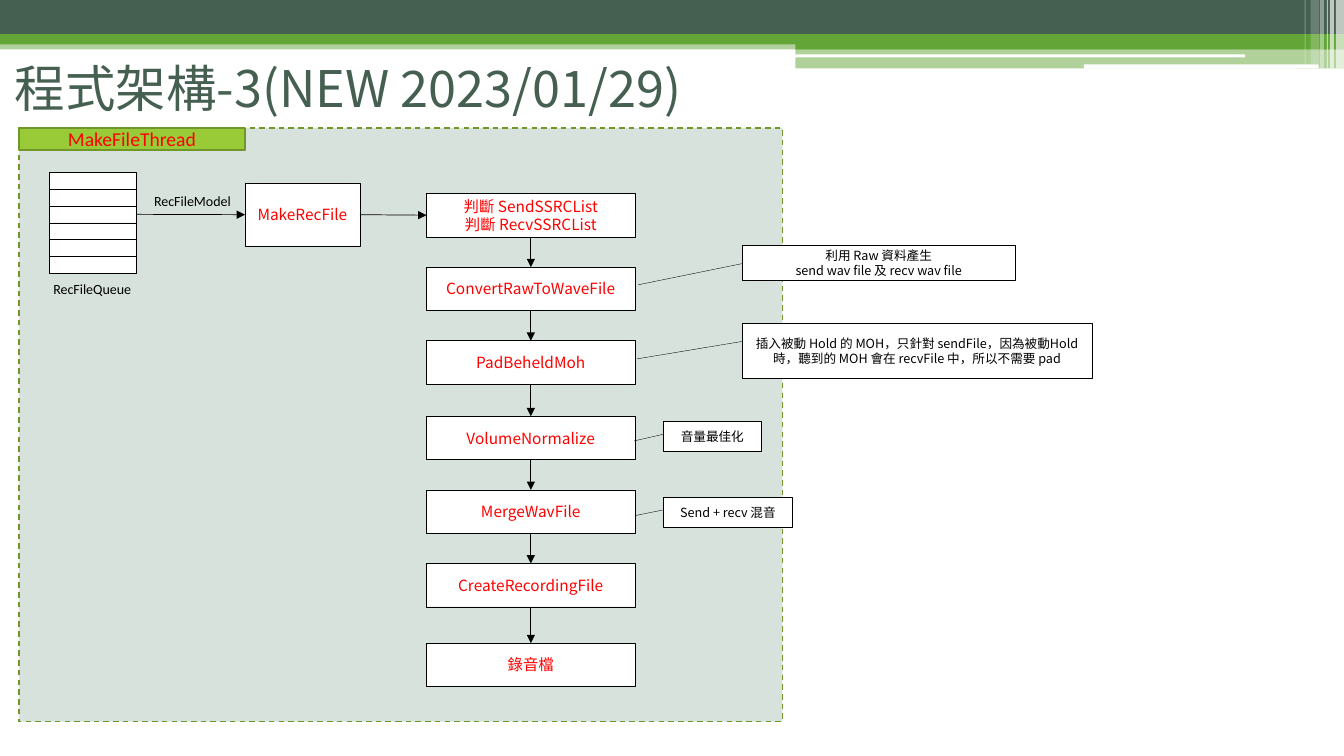
from dataclasses import dataclass
from itertools import pairwise

from lxml.etree import SubElement
from pptx import Presentation
from pptx.dml.color import RGBColor
from pptx.enum.dml import MSO_LINE
from pptx.enum.shapes import MSO_CONNECTOR, MSO_SHAPE
from pptx.enum.text import MSO_ANCHOR, PP_ALIGN
from pptx.oxml.ns import qn
from pptx.shapes.autoshape import Shape
from pptx.slide import Slide
from pptx.util import Inches, Pt

WHITE = "FFFFFF"
BLACK = "000000"
RED = "FF0000"
DARK_GREEN = "455F51"
GREEN = "63A537"
OLIVE = "719629"
LATIN_FONT = "Calibri"
BODY_FONT = "Noto Sans CJK SC"
TITLE_FONT = "Noto Sans CJK TC"
TOP, LEFT, BOTTOM, RIGHT = range(4)


@dataclass(frozen=True)
class Box:
    left: float
    top: float
    width: float
    height: float


@dataclass(frozen=True)
class Band:
    box: Box
    color: str
    opacity: int = 100
    kind: MSO_SHAPE = MSO_SHAPE.RECTANGLE


@dataclass(frozen=True)
class Step:
    top: float
    text: str


@dataclass(frozen=True)
class Callout:
    box: Box
    pointer: tuple[float, float, float, float]
    text: str


BANDS = [
    Band(Box(0, 0.4, 13.33, 0.09), GREEN, 50),
    Band(Box(0, 0, 13.33, 0.34), DARK_GREEN),
    Band(Box(0, 0.34, 13.33, 0.1), GREEN),
    Band(Box(7.89, 0.39, 5.44, 0.1), GREEN),
    Band(Box(7.89, 0.48, 5.44, 0.2), GREEN, 50),
    Band(Box(7.88, 0.54, 4.47, 0.03), WHITE, kind=MSO_SHAPE.ROUNDED_RECTANGLE),
    Band(Box(10.75, 0.64, 2.33, 0.04), WHITE, kind=MSO_SHAPE.ROUNDED_RECTANGLE),
    Band(Box(13.25, 0, 0.08, 0.68), WHITE, 65),
    Band(Box(13.19, 0, 0.04, 0.68), WHITE, 65),
    Band(Box(13.16, 0, 0.01, 0.68), WHITE, 60),
    Band(Box(13.09, 0, 0.04, 0.68), WHITE, 40),
    Band(Box(13, 0, 0.08, 0.64), WHITE, 20),
    Band(Box(12.94, 0, 0.01, 0.64), WHITE, 30),
]
STEPS = [
    Step(1.92, "判斷 SendSSRCList\n判斷 RecvSSRCList"),
    Step(2.65, "ConvertRawToWaveFile"),
    Step(3.38, "PadBeheldMoh"),
    Step(4.13, "VolumeNormalize"),
    Step(4.86, "MergeWavFile"),
    Step(5.59, "CreateRecordingFile"),
    Step(6.38, "錄音檔"),
]
CALLOUTS = [
    Callout(Box(7.36, 2.43, 2.71, 0.35), (0.53, 0, 1.13, -0.38),
            "利用 Raw 資料產生\nsend wav file 及 recv wav file"),
    Callout(Box(7.36, 3.21, 3.47, 0.54), (0.33, 0, 0.65, -0.3),
            "插入被動 Hold 的 MOH，只針對 sendFile，因為被動Hold時，"
            "聽到的 MOH 會在 recvFile 中，所以不需要 pad"),
    Callout(Box(6.58, 4.18, 0.97, 0.3), (0.43, 0, 0.65, -0.3), "音量最佳化"),
    Callout(Box(6.58, 4.93, 1.28, 0.3), (0.43, 0, 0.62, -0.22), "Send + recv 混音"),
]
QUEUE = Box(0.49, 1.71, 0.86, 1)
QUEUE_SLOTS = 6


def rgb(color: str) -> RGBColor:
    return RGBColor.from_string(color)


def write_text(shape: Shape, text: str, *, size: float, font: str = BODY_FONT,
               color: str = RED, align: PP_ALIGN = PP_ALIGN.CENTER,
               anchor: MSO_ANCHOR = MSO_ANCHOR.MIDDLE, wrap: bool = True) -> None:
    frame = shape.text_frame
    frame.word_wrap = wrap
    frame.vertical_anchor = anchor
    frame.text = text
    for paragraph in frame.paragraphs:
        paragraph.alignment = align
        for run in paragraph.runs:
            run.font.size = Pt(size)
            run.font.color.rgb = rgb(color)
            run.font.name = font
            properties = run.font._element
            SubElement(properties, qn("a:ea"), typeface=font)


def add_box(slide: Slide, box: Box, fill: str = WHITE, line: str | None = BLACK,
            line_width: float = 0.25, kind: MSO_SHAPE = MSO_SHAPE.RECTANGLE) -> Shape:
    shape = slide.shapes.add_shape(kind, Inches(box.left), Inches(box.top),
                                   Inches(box.width), Inches(box.height))
    shape.shadow.inherit = False
    shape.fill.solid()
    shape.fill.fore_color.rgb = rgb(fill)
    if line is None:
        shape.line.fill.background()
    else:
        shape.line.color.rgb = rgb(line)
        shape.line.width = Pt(line_width)
    return shape


def add_band(slide: Slide, band: Band) -> None:
    shape = add_box(slide, band.box, band.color, line=None, kind=band.kind)
    if band.opacity < 100:
        color = shape._element.spPr.find(qn("a:solidFill"))[0]
        SubElement(color, qn("a:alpha"), val=str(band.opacity * 1000))


def add_label(slide: Slide, box: Box, text: str, **text_format) -> None:
    shape = slide.shapes.add_textbox(Inches(box.left), Inches(box.top),
                                     Inches(box.width), Inches(box.height))
    write_text(shape, text, align=PP_ALIGN.LEFT, **text_format)


def add_arrow(slide: Slide, start: Shape, start_side: int, end: Shape, end_side: int) -> None:
    connector = slide.shapes.add_connector(MSO_CONNECTOR.STRAIGHT, 0, 0, 0, 0)
    connector.begin_connect(start, start_side)
    connector.end_connect(end, end_side)
    connector.line.color.rgb = rgb(BLACK)
    connector.line.width = Pt(0.5)
    SubElement(connector.line._get_or_add_ln(), qn("a:tailEnd"), type="triangle")
    SubElement(connector._element.spPr, qn("a:effectLst"))


def add_callout(slide: Slide, callout: Callout) -> None:
    shape = add_box(slide, callout.box, kind=MSO_SHAPE.LINE_CALLOUT_1)
    for index, value in enumerate(callout.pointer):
        shape.adjustments[index] = value
    write_text(shape, callout.text, size=9, color=BLACK)


def add_step(slide: Slide, step: Step) -> Shape:
    shape = add_box(slide, Box(4.23, step.top, 2.07, 0.43))
    write_text(shape, step.text, size=11)
    return shape


def main() -> None:
    presentation = Presentation()
    presentation.slide_width = Inches(13.33)
    presentation.slide_height = Inches(7.5)
    slide = presentation.slides.add_slide(presentation.slide_layouts[6])

    for band in BANDS:
        add_band(slide, band)

    thread_area = add_box(slide, Box(0.19, 1.27, 7.57, 5.89), "D7E2DC", OLIVE, 1)
    thread_area.line.dash_style = MSO_LINE.DASH
    add_label(slide, Box(0.05, 0.53, 7.95, 0.67), "程式架構-3(NEW 2023/01/29)",
              size=36, font=TITLE_FONT, color=DARK_GREEN)
    thread_tag = add_box(slide, Box(0.19, 1.27, 2.24, 0.22), "99CB38", OLIVE, 1)
    write_text(thread_tag, "MakeFileThread", size=14, font=LATIN_FONT)

    slot_height = QUEUE.height / QUEUE_SLOTS
    slots = [add_box(slide, Box(QUEUE.left, QUEUE.top + index * slot_height,
                                QUEUE.width, slot_height))
             for index in range(QUEUE_SLOTS)]
    for box, text in [(Box(0.43, 2.73, 0.99, 0.27), "RecFileQueue"),
                      (Box(1.43, 1.86, 0.97, 0.27), "RecFileModel")]:
        add_label(slide, box, text, size=10, font=LATIN_FONT, color=BLACK,
                  anchor=MSO_ANCHOR.TOP, wrap=False)

    make_file = add_box(slide, Box(2.43, 1.82, 1.14, 0.62))
    write_text(make_file, "MakeRecFile", size=11)
    steps = [add_step(slide, step) for step in STEPS]
    for callout in CALLOUTS:
        add_callout(slide, callout)

    add_arrow(slide, slots[2], RIGHT, make_file, LEFT)
    add_arrow(slide, make_file, RIGHT, steps[0], LEFT)
    for upper, lower in pairwise(steps):
        add_arrow(slide, upper, BOTTOM, lower, TOP)

    presentation.save("out.pptx")


if __name__ == "__main__":
    main()
